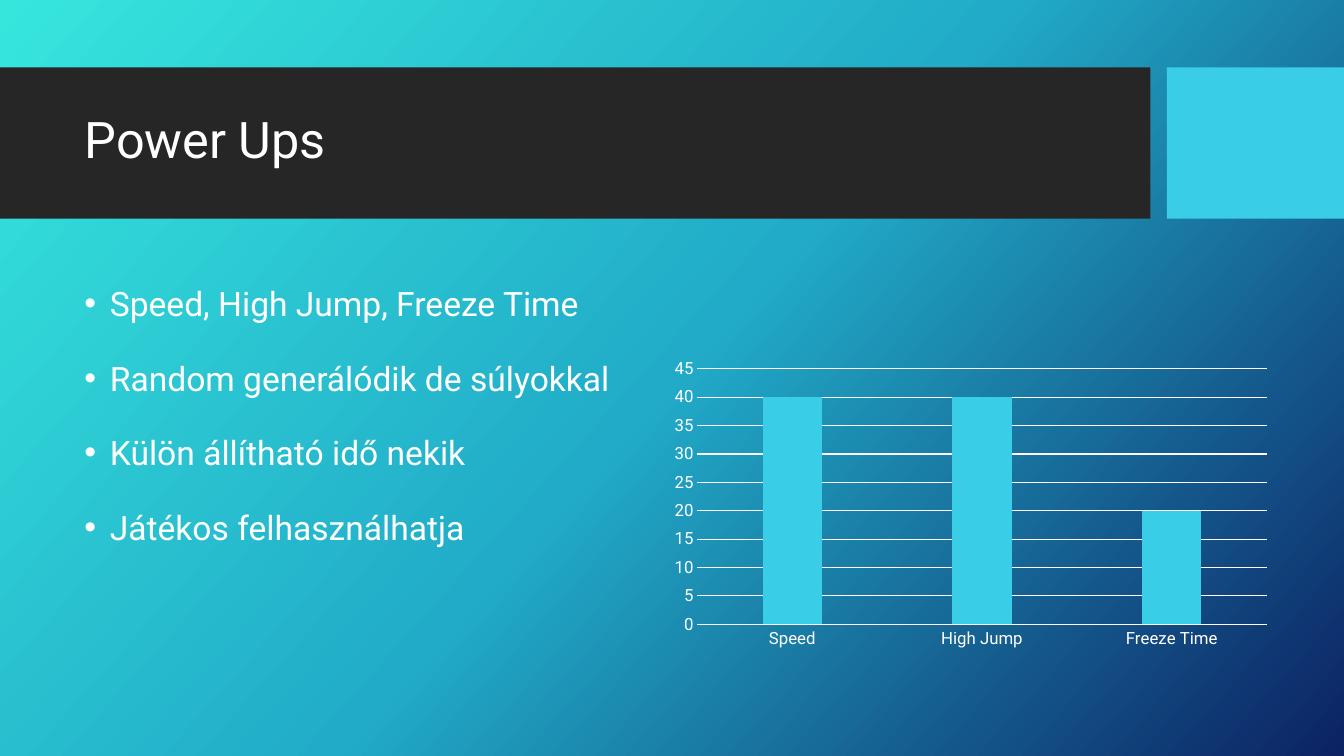
from copy import deepcopy

from pptx import Presentation
from pptx.chart.data import CategoryChartData
from pptx.dml.color import RGBColor
from pptx.enum.chart import XL_CHART_TYPE as CHART, XL_TICK_MARK as TICK
from pptx.enum.shapes import MSO_SHAPE as SHAPE
from pptx.enum.text import MSO_ANCHOR as ANCHOR, PP_ALIGN as ALIGN
from pptx.oxml.ns import qn
from pptx.util import Cm, Pt

FONT = "Roboto"
WHITE = "FFFFFF"
CYAN = "39CDE7"
DARK = "262626"


def rgb(color):
    return RGBColor.from_string(color)


def style_font(font, size, color=WHITE):
    font.name = FONT
    font.size = Pt(size)
    font.color.rgb = rgb(color)


def add_run(p, text, size):
    r = p.add_run()
    r.text = text
    style_font(r.font, size)


def set_background(s, colors, angle):
    fill = s.background.fill
    fill.gradient()
    fill.gradient_angle = 360 - angle
    first = s.element.find(".//" + qn("a:gs"))
    first.addnext(deepcopy(first))
    for i, (stop, color) in enumerate(zip(fill.gradient_stops, colors)):
        stop.position = i / (len(colors) - 1)
        stop.color.rgb = rgb(color)


def add_band(s, left, width, color):
    sp = s.shapes.add_shape(SHAPE.RECTANGLE, Cm(left), Cm(1.7), Cm(width), Cm(3.81))
    sp.shadow.inherit = False
    sp.fill.solid()
    sp.fill.fore_color.rgb = rgb(color)
    sp.line.fill.background()


def set_title(s, text):
    sp = s.shapes.title
    sp.left, sp.top, sp.width, sp.height = Cm(1.88), Cm(2.08), Cm(26.7), Cm(3)
    tree = s.shapes.element
    tree.remove(sp.element)
    tree.append(sp.element)
    tf = sp.text_frame
    tf.vertical_anchor = ANCHOR.MIDDLE
    p = tf.paragraphs[0]
    p.alignment = ALIGN.LEFT
    p.line_spacing = 0.9
    add_run(p, text, 36)


def add_bullets(s, lines):
    sp = s.shapes.add_textbox(Cm(1.88), Cm(6.5), Cm(26.7), Cm(10))
    tf = sp.text_frame
    tf.word_wrap = True
    for i, line in enumerate(lines):
        p = tf.add_paragraph() if i else tf.paragraphs[0]
        p.line_spacing = 1.5
        p.space_before = Pt(10)
        add_run(p, line, 24)
        pPr = p._p.get_or_add_pPr()
        pPr.set("marL", str(Cm(0.64)))
        pPr.set("indent", str(-Cm(0.64)))
        font = pPr.makeelement(qn("a:buFont"), {"typeface": "Arial"})
        bullet = pPr.makeelement(qn("a:buChar"), {"char": "•"})
        pPr.extend([font, bullet])


def style_line(line):
    line.color.rgb = rgb(WHITE)
    line.width = Pt(0.75)


def add_weights_chart(s, weights):
    data = CategoryChartData()
    data.categories = list(weights)
    data.add_series("Series 1", list(weights.values()))
    frame = s.shapes.add_chart(
        CHART.COLUMN_CLUSTERED, Cm(16.69), Cm(8.89), Cm(15.54), Cm(7.6), data)
    chart = frame.chart
    chart.has_title = False
    chart.has_legend = False
    style_font(chart.font, 10)
    for axis in (chart.category_axis, chart.value_axis):
        axis.major_tick_mark = axis.minor_tick_mark = TICK.NONE
        style_font(axis.tick_labels.font, 12)
    style_line(chart.category_axis.format.line)
    axis = chart.value_axis
    axis.format.line.fill.background()
    axis.minimum_scale, axis.maximum_scale, axis.major_unit = 0, 45, 5
    style_line(axis.major_gridlines.format.line)
    plot = chart.plots[0]
    plot.gap_width = 219
    plot.overlap = -27
    plot.vary_by_categories = False
    fill = plot.series[0].format.fill
    fill.solid()
    fill.fore_color.rgb = rgb(CYAN)


def main():
    prs = Presentation()
    prs.slide_width, prs.slide_height = Cm(33.87), Cm(19.05)
    s = prs.slides.add_slide(prs.slide_layouts[5])
    set_background(s, ["36E6DD", "21ABC8", "0C2263"], 42)
    add_band(s, 0, 28.99, DARK)
    add_band(s, 29.41, 4.46, CYAN)
    set_title(s, "Power Ups")
    add_bullets(s, [
        "Speed, High Jump, Freeze Time",
        "Random generálódik de súlyokkal",
        "Külön állítható idő nekik",
        "Játékos felhasználhatja",
    ])
    add_weights_chart(s, {"Speed": 40, "High Jump": 40, "Freeze Time": 20})
    prs.save("out.pptx")


if __name__ == "__main__":
    main()
